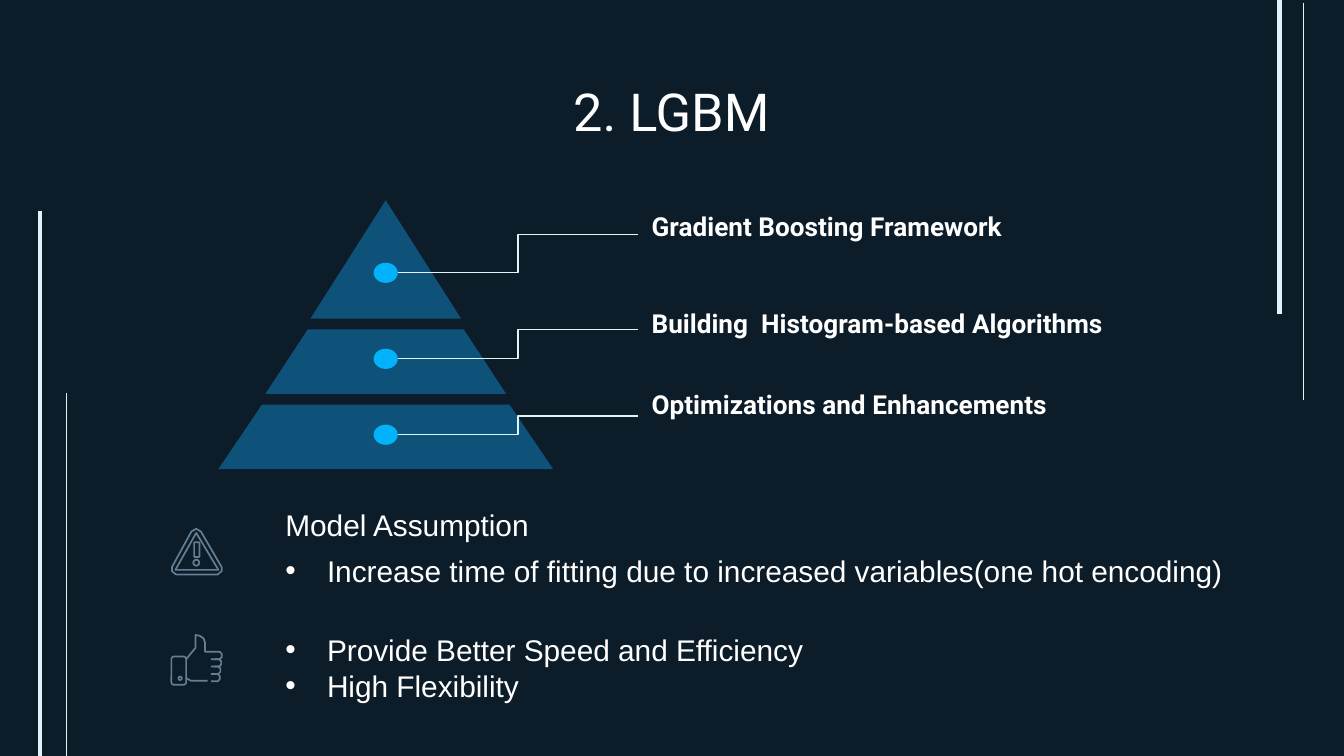
"""Build the LGBM overview slide on a square grid of 100 columns by 56.25 rows."""
from lxml import etree
from pptx import Presentation
from pptx.dml.color import RGBColor
from pptx.enum.shapes import MSO_CONNECTOR, MSO_SHAPE
from pptx.enum.text import MSO_ANCHOR, PP_ALIGN
from pptx.oxml.ns import qn
from pptx.util import Inches, Pt

STRAIGHT, ELBOW = MSO_CONNECTOR.STRAIGHT, MSO_CONNECTOR.ELBOW
OVAL, ROUNDED = MSO_SHAPE.OVAL, MSO_SHAPE.ROUNDED_RECTANGLE
TOP, BOTTOM = MSO_ANCHOR.TOP, MSO_ANCHOR.BOTTOM
LEFT, CENTER = PP_ALIGN.LEFT, PP_ALIGN.CENTER

COLUMNS, ROWS = 100, 56.25
UNIT = Inches(10) / COLUMNS

THEME = {
    "background": "0C1C29", "text": "FFFFFF", "line": "E0F4FB",
    "tier": "0E5279", "dot": "02B2FB", "icon": "657E93",
    "heading_font": "Roboto", "body_font": "Arial",
    "title_size": 28, "label_size": 14, "body_size": 16,
    "thick": 2.25, "thin": 0.75, "icon_line": 0.9,
}

TITLE = ("2. LGBM", (7.8, 4.9, 84.3, 6.3))
SIDE_LINES = [
    (95.2, 0, 23.4, "thick"),
    (97, 0.2, 29.8, "thin"),
    (3, 15.7, ROWS, "thick"),
    (4.95, 29.25, ROWS, "thin"),
]
CENTER_COLUMN = 28.7
DOT_SIZE = (1.8, 1.5)
LABEL_COLUMN = 47.5
TIERS = [
    {"rows": (14.9, 23.7), "half_widths": (0, 5.6), "dot": 20.3, "line_end": 17.45,
     "label": "Gradient Boosting Framework", "box": (16, 44.6, 3)},
    {"rows": (24.5, 29.3), "half_widths": (5.8, 8.95), "dot": 26.7, "line_end": 24.5,
     "label": "Building  Histogram-based Algorithms", "box": (22.8, 57.6, 3.4)},
    {"rows": (30.1, 34.9), "half_widths": (9.2, 12.45), "dot": 32.35, "line_end": 30.95,
     "label": "Optimizations and Enhancements", "box": (29.65, 45.7, 2.6)},
]
HEADING = ("Model Assumption", (20.25, 37.3, 31.4, 4.1))
BULLETS = [
    (["Increase time of fitting due to increased variables(one hot encoding)"],
     (20.25, 40.1, 73.7, 5.3)),
    (["Provide Better Speed and Efficiency", "High Flexibility"],
     (20.25, 46, 46.3, 7.3)),
]

WARNING_OUTLINES = [
    [(14.6, 39.35), (14.95, 39.55), (16.5, 42.2), (16.5, 42.5), (16.2, 42.75),
     (13.1, 42.75), (12.8, 42.5), (12.8, 42.2), (14.25, 39.55)],
    [(14.6, 39.65), (16.25, 42.4), (13.05, 42.4)],
]
THUMB = [(13.85, 49.05), (14.55, 48.2), (14.55, 47.25), (14.85, 47.3), (15.15, 47.5),
         (15.25, 47.8), (15.25, 48.5)]
PALM = [(13.85, 50.45), (14.2, 50.65), (15.45, 50.65)]
FINGER_TOP, FINGER_HEIGHT = 48.5, 0.55
FINGER_SPANS = [(15.25, 16.5), (15.95, 16.45), (15.95, 16.4), (15.95, 16.35)]
ICON_SHAPES = [
    (OVAL, (14.38, 41.65, 0.45, 0.45)),
    (ROUNDED, (14.45, 40.35, 0.4, 1.1)),
    (ROUNDED, (12.75, 48.85, 1.1, 2.1)),
    (OVAL, (13.28, 50.35, 0.25, 0.25)),
]


def grid(*values):
    return [round(value * UNIT) for value in values]


def color(name):
    return RGBColor.from_string(THEME[name])


def paint(shape, fill=None, line=None):
    shape.shadow.inherit = False
    if fill:
        shape.fill.solid()
        shape.fill.fore_color.rgb = color(fill)
    else:
        shape.fill.background()
    if line:
        shape.line.color.rgb = color(line)
        shape.line.width = Pt(THEME["icon_line"])
    else:
        shape.line.fill.background()


def add_line(slide, kind, start, end, weight):
    connector = slide.shapes.add_connector(kind, *grid(*start, *end))
    connector.line.color.rgb = color("line")
    connector.line.width = Pt(THEME[weight])
    etree.SubElement(connector._element.spPr, qn("a:effectLst"))


def add_outline(slide, points, closed=True, fill=None, line=None):
    builder = slide.shapes.build_freeform(*grid(*points[0]))
    builder.add_line_segments([grid(*point) for point in points[1:]], close=closed)
    paint(builder.convert_to_shape(), fill, line)


def add_bullet(paragraph):
    properties = paragraph._p.get_or_add_pPr()
    properties.set("marL", str(Inches(0.31)))
    properties.set("indent", str(-Inches(0.31)))
    bullet_color = etree.SubElement(properties, qn("a:buClr"))
    etree.SubElement(bullet_color, qn("a:srgbClr"), val=THEME["text"])
    etree.SubElement(properties, qn("a:buFont"), typeface=THEME["body_font"])
    etree.SubElement(properties, qn("a:buChar"), char="•")


def add_text(slide, lines, box, font, size, anchor=TOP, align=LEFT, bold=False, bullets=False):
    frame = slide.shapes.add_textbox(*grid(*box)).text_frame
    frame.word_wrap = True
    frame.vertical_anchor = anchor
    frame.margin_left = frame.margin_right = Inches(0.1)
    frame.margin_top = frame.margin_bottom = Inches(0.1)
    for index, line in enumerate(lines):
        paragraph = frame.add_paragraph() if index else frame.paragraphs[0]
        paragraph.alignment = align
        if bullets:
            add_bullet(paragraph)
        run = paragraph.add_run()
        run.text = line
        run.font.name = THEME[font]
        run.font.size = Pt(THEME[size])
        run.font.bold = bold
        run.font.color.rgb = color("text")


def add_tier(slide, tier):
    top, bottom = tier["rows"]
    upper, lower = tier["half_widths"]
    add_outline(slide, [(CENTER_COLUMN - upper, top), (CENTER_COLUMN - lower, bottom),
                        (CENTER_COLUMN + lower, bottom), (CENTER_COLUMN + upper, top)],
                fill="tier")
    width, height = DOT_SIZE
    dot = slide.shapes.add_shape(
        OVAL, *grid(CENTER_COLUMN - width / 2, tier["dot"] - height / 2, width, height))
    paint(dot, "dot")
    label_top, label_width, label_height = tier["box"]
    add_text(slide, [tier["label"]], (LABEL_COLUMN, label_top, label_width, label_height),
             "heading_font", "label_size", BOTTOM, bold=True)


def add_icons(slide):
    for points in WARNING_OUTLINES:
        add_outline(slide, points, line="icon")
    for points in (THUMB, PALM):
        add_outline(slide, points, closed=False, line="icon")
    for index, (start, tip) in enumerate(FINGER_SPANS):
        top = FINGER_TOP + index * FINGER_HEIGHT
        bottom = top + FINGER_HEIGHT
        finger = [(start, top), (tip - 0.15, top), (tip, top + 0.15),
                  (tip, bottom - 0.15), (tip - 0.15, bottom), (15.7, bottom)]
        add_outline(slide, finger, closed=False, line="icon")
    for kind, box in ICON_SHAPES:
        shape = slide.shapes.add_shape(kind, *grid(*box))
        paint(shape, line="icon")


def main():
    presentation = Presentation()
    presentation.slide_width, presentation.slide_height = grid(COLUMNS, ROWS)
    slide = presentation.slides.add_slide(presentation.slide_layouts[6])
    slide.background.fill.solid()
    slide.background.fill.fore_color.rgb = color("background")

    for column, top, bottom, weight in SIDE_LINES:
        add_line(slide, STRAIGHT, (column, top), (column, bottom), weight)
    title, title_box = TITLE
    add_text(slide, [title], title_box, "heading_font", "title_size", align=CENTER)
    for tier in TIERS:
        add_tier(slide, tier)
    for tier in TIERS:
        add_line(slide, ELBOW, (CENTER_COLUMN + DOT_SIZE[0] / 2, tier["dot"]),
                 (LABEL_COLUMN, tier["line_end"]), "thin")
    add_icons(slide)
    for lines, box in BULLETS:
        add_text(slide, lines, box, "body_font", "body_size", bullets=True)
    heading, heading_box = HEADING
    add_text(slide, [heading], heading_box, "body_font", "body_size", BOTTOM)
    presentation.save("out.pptx")


if __name__ == "__main__":
    main()
